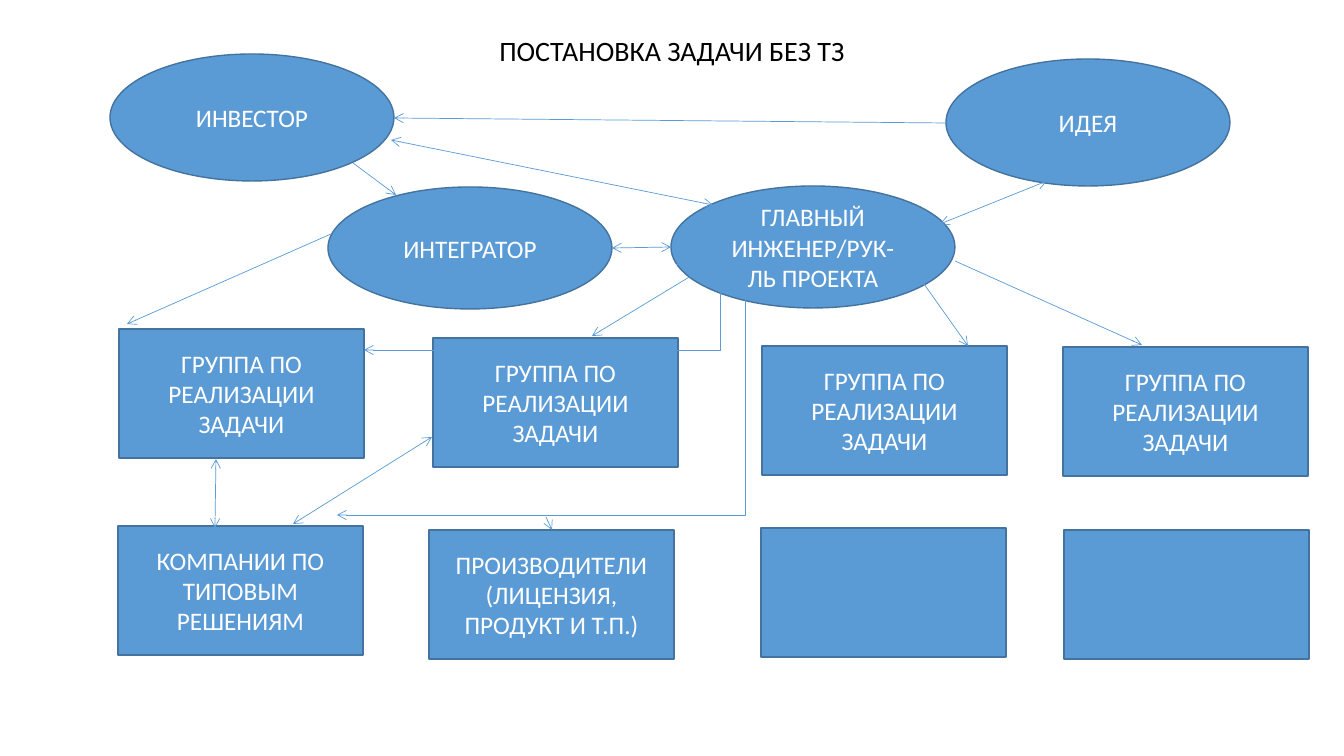
from pptx import Presentation
from pptx.util import Pt
from pptx.dml.color import RGBColor
from pptx.enum.shapes import MSO_SHAPE as Form, MSO_CONNECTOR as Link
from pptx.enum.text import PP_ALIGN as Align, MSO_ANCHOR as Anchor
from pptx.oxml.ns import qn
from lxml.etree import SubElement as sub

BLUE = RGBColor(0x5B, 0x9B, 0xD5)
EDGE = RGBColor(0x43, 0x73, 0x9E)
BLACK = RGBColor(0, 0, 0)
WHITE = RGBColor(255, 255, 255)
FONT = "Calibri"

# Content: places in pixels, 100.8 to the inch
TITLE = "ПОСТАНОВКА ЗАДАЧИ БЕЗ ТЗ"
GROUP = "ГРУППА ПО РЕАЛИЗАЦИИ ЗАДАЧИ"
ROLES = [  # text, left, top, height
    ("ИНВЕСТОР", 110, 54, 127),
    ("ИНТЕГРАТОР", 328, 187, 122),
    ("ИДЕЯ", 946, 59, 127),
    ("ГЛАВНЫЙ ИНЖЕНЕР/РУК-ЛЬ ПРОЕКТА", 671, 186, 122),
]
TEAMS = [  # text, left, top
    (GROUP, 119, 329),
    (GROUP, 433, 338),
    (GROUP, 762, 346),
    (GROUP, 1063, 347),
    ("КОМПАНИИ ПО ТИПОВЫМ РЕШЕНИЯМ", 118, 526),
    ("ПРОИЗВОДИТЕЛИ (ЛИЦЕНЗИЯ, ПРОДУКТ И Т.П.)", 429, 530),
    ("", 761, 528),
    ("", 1064, 530),
]
ONEWAY = [  # from x, y, to x, y
    (946, 123, 394, 118),
    (353, 163, 396, 195),
    (331, 234, 127, 324),
    (955, 261, 1142, 345),
    (924, 284, 968, 346),
    (691, 276, 592, 336),
    (546, 517, 552, 530),
]
TWOWAY = [
    (612, 248, 671, 247),
    (940, 224, 1047, 181),
    (391, 140, 713, 205),
    (216, 459, 215, 528),
    (293, 524, 432, 437),
]
BENT = [  # from x, y, to x, y, x of the bend
    (676, 264, 364, 350, 720),
    (756, 290, 337, 515, 745),
]
ROLE_W, TEAM_W, TEAM_H = 284, 245, 129


def px(n):
    return round(n * 914400 / 100.8)


def write(shape, text, size=18, color=WHITE, anchor=Anchor.MIDDLE, space=None):
    frame = shape.text_frame
    frame.word_wrap = True
    frame.vertical_anchor = anchor
    para = frame.paragraphs[0]
    para.alignment = Align.CENTER
    para.line_spacing = space
    run = para.add_run()
    run.text = text
    run.font.name = FONT
    run.font.size = Pt(size)
    run.font.color.rgb = color


def node(form, text, *box):
    shape = slide.shapes.add_shape(form, *map(px, box))
    shape.shadow.inherit = False
    shape.fill.solid()
    shape.fill.fore_color.rgb = BLUE
    shape.line.color.rgb = EDGE
    shape.line.width = Pt(1)
    if text:
        write(shape, text)


def arrow(ends, both=False, bend=None):
    kind = Link.STRAIGHT if bend is None else Link.ELBOW
    link = slide.shapes.add_connector(kind, *map(px, ends))
    link.line.color.rgb = BLUE
    link.line.width = Pt(0.5)
    props = link._element.spPr
    line = props.find(qn("a:ln"))
    for tip in ("a:headEnd", "a:tailEnd") if both else ("a:tailEnd",):
        sub(line, qn(tip), type="arrow")
    sub(props, qn("a:effectLst"))
    if bend is not None:
        x1, _, x2, _ = ends
        geom = props.find(qn("a:prstGeom"))
        guides = geom.find(qn("a:avLst"))
        if guides is None:
            guides = sub(geom, qn("a:avLst"))
        ratio = round((bend - x1) / (x2 - x1) * 100000)
        sub(guides, qn("a:gd"), name="adj1", fmla=f"val {ratio}")


deck = Presentation()
deck.slide_width, deck.slide_height = px(1344), px(756)
slide = deck.slides.add_slide(deck.slide_layouts[5])

# Title
title = slide.shapes.title
title.left, title.top, title.width, title.height = map(px, (168, 20, 1008, 53))
write(title, TITLE, size=20, color=BLACK, anchor=Anchor.BOTTOM, space=0.9)

# Roles and teams
for text, left, top, high in ROLES:
    node(Form.OVAL, text, left, top, ROLE_W, high)
for text, left, top in TEAMS:
    node(Form.RECTANGLE, text, left, top, TEAM_W, TEAM_H)

# Arrows
for ends in ONEWAY:
    arrow(ends)
for ends in TWOWAY:
    arrow(ends, both=True)
for *ends, bend in BENT:
    arrow(ends, bend=bend)

deck.save("out.pptx")
